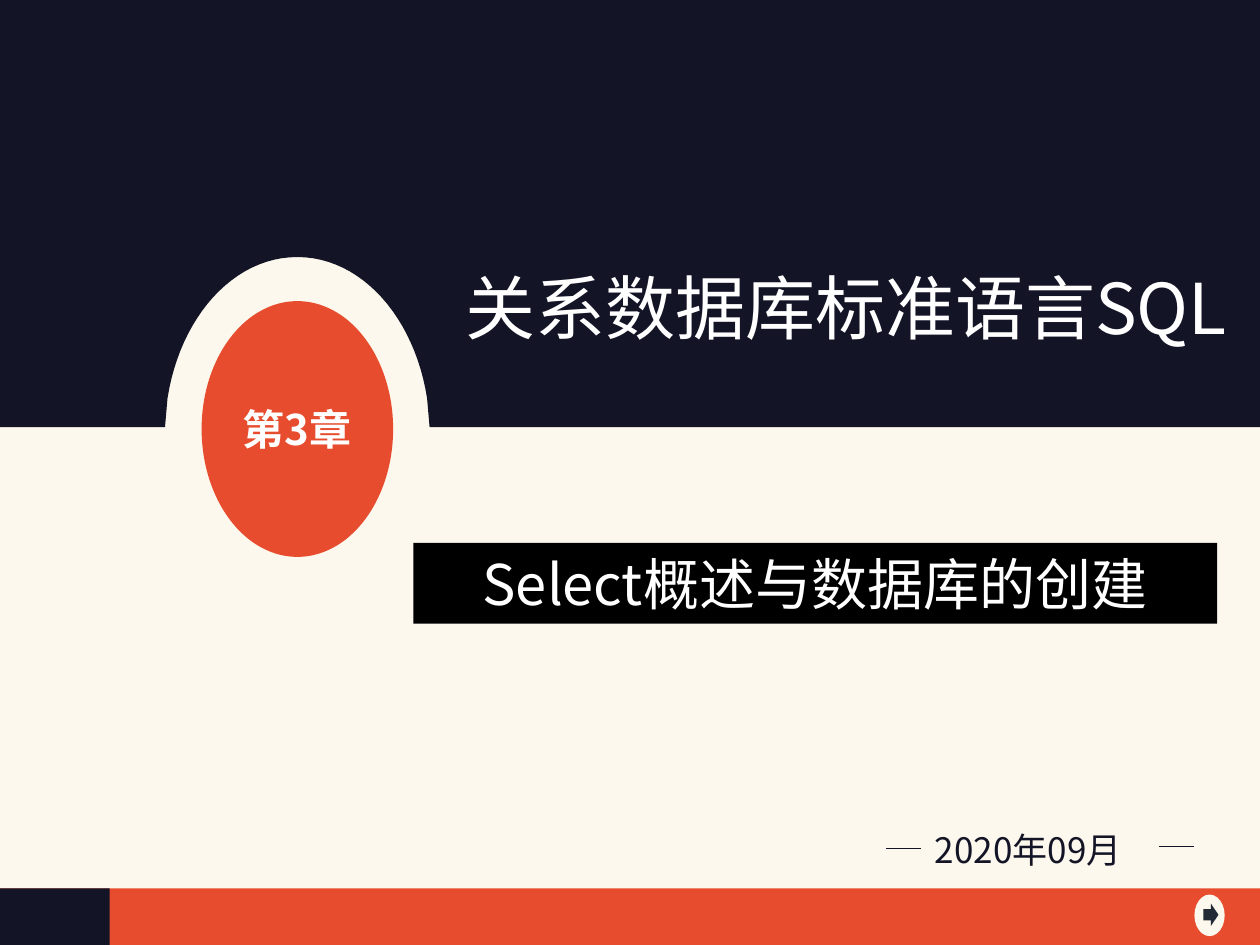
import dataclasses
from typing import Any, Optional

import pptx
import pptx.dml.color
import pptx.enum.shapes
import pptx.enum.text
import pptx.oxml.ns
import pptx.util
from lxml import etree

Inches = pptx.util.Inches
Shape = pptx.enum.shapes.MSO_SHAPE
Align = pptx.enum.text.PP_ALIGN
Anchor = pptx.enum.text.MSO_ANCHOR
qn = pptx.oxml.ns.qn


@dataclasses.dataclass(frozen=True)
class Theme:
    font: str = "Noto Sans CJK SC"
    cream: str = "FCF8ED"
    orange: str = "E74C2E"
    navy: str = "131426"
    slate: str = "222A35"
    black: str = "000000"
    white: str = "FFFFFF"
    title_size: int = 40
    subtitle_size: int = 32
    chapter_size: int = 24
    date_size: int = 20
    rule_width: float = 0.5


@dataclasses.dataclass(frozen=True)
class Block:
    kind: Any
    left: float
    top: float
    width: float
    height: float
    color: str


@dataclasses.dataclass(frozen=True)
class Rule:
    left: float
    top: float
    length: float = 0.28


THEME = Theme()
BACKDROP = [
    Block(Shape.RECTANGLE, 0, 0, 10, 7.5, THEME.cream),
    Block(Shape.RECTANGLE, 0, 7.05, 10, 0.46, THEME.orange),
    Block(Shape.RECTANGLE, 0, 7.05, 0.87, 0.46, THEME.navy),
    Block(Shape.OVAL, 9.48, 7.1, 0.24, 0.33, THEME.cream),
    Block(Shape.RIGHT_ARROW, 9.55, 7.17, 0.12, 0.18, THEME.slate),
]
CHAPTER = Block(Shape.OVAL, 1.6, 2.39, 1.52, 2.03, THEME.orange)
SUBTITLE = Block(Shape.RECTANGLE, 3.28, 4.31, 6.38, 0.64, THEME.black)
DATE_RULES = [Rule(7.03, 6.73), Rule(9.2, 6.72)]
NOTCH_CURVES = [
    [(3.39, 3.16), (3.29, 2.52), (2.87, 2.04), (2.36, 2.04)],
    [(2.36, 2.04), (1.85, 2.04), (1.43, 2.52), (1.33, 3.16)],
]


def rgb(color: str) -> pptx.dml.color.RGBColor:
    return pptx.dml.color.RGBColor.from_string(color)


def paint(shape: Any, color: str) -> None:
    shape.shadow.inherit = False
    shape.fill.solid()
    shape.fill.fore_color.rgb = rgb(color)
    shape.line.fill.background()


def draw_block(page: Any, block: Block) -> Any:
    shape = page.shapes.add_shape(
        block.kind, Inches(block.left), Inches(block.top),
        Inches(block.width), Inches(block.height),
    )
    paint(shape, block.color)
    return shape


def write(box: Any, text: str, *, size: int, color: str, bold: bool = False,
          align: Optional[Any] = None, anchor: Any = Anchor.TOP) -> None:
    frame = box.text_frame
    frame.word_wrap = True
    frame.vertical_anchor = anchor
    para = frame.paragraphs[0]
    para.alignment = align
    span = para.add_run()
    span.text = text
    span.font.size = pptx.util.Pt(size)
    span.font.bold = bold
    span.font.color.rgb = rgb(color)
    span.font.name = THEME.font
    east_asian = etree.SubElement(span.font._element, qn("a:ea"))
    east_asian.set("typeface", THEME.font)


def add_box(page: Any, left: float, top: float, width: float, height: float) -> Any:
    return page.shapes.add_textbox(
        Inches(left), Inches(top), Inches(width), Inches(height)
    )


def curve_points(controls: list, steps: int = 24) -> list:
    a, b, c, d = controls
    points = []
    for step in range(steps + 1):
        t = step / steps
        u = 1 - t
        points.append(tuple(
            u**3 * a[i] + 3 * u * u * t * b[i] + 3 * u * t * t * c[i] + t**3 * d[i]
            for i in (0, 1)
        ))
    return points


def draw_header(page: Any) -> None:
    points = [(10, 0), (10, 3.39), (3.41, 3.39)]
    for controls in NOTCH_CURVES:
        points += curve_points(controls)
    points += [(1.31, 3.39), (0, 3.39)]
    builder = page.shapes.build_freeform(0, 0)
    builder.add_line_segments([(Inches(x), Inches(y)) for x, y in points], close=True)
    paint(builder.convert_to_shape(), THEME.navy)


def draw_rule(page: Any, rule: Rule) -> None:
    line = page.shapes.add_connector(
        pptx.enum.shapes.MSO_CONNECTOR.STRAIGHT,
        Inches(rule.left), Inches(rule.top),
        Inches(rule.left + rule.length), Inches(rule.top),
    )
    line.line.color.rgb = rgb(THEME.navy)
    line.line.width = pptx.util.Pt(THEME.rule_width)
    etree.SubElement(line._element.spPr, qn("a:effectLst"))


def main() -> None:
    deck = pptx.Presentation()
    deck.slide_width, deck.slide_height = Inches(10), Inches(7.5)
    page = deck.slides.add_slide(deck.slide_layouts[6])

    for block in BACKDROP:
        draw_block(page, block)
    draw_header(page)
    write(draw_block(page, CHAPTER), "第3章", size=THEME.chapter_size,
          color=THEME.white, bold=True, align=Align.CENTER, anchor=Anchor.MIDDLE)

    write(add_box(page, 7.32, 6.53, 1.9, 0.77), "2020年09月",
          size=THEME.date_size, color=THEME.navy)
    for rule in DATE_RULES:
        draw_rule(page, rule)

    write(add_box(page, 3.59, 2.05, 6.25, 1.44), "关系数据库标准语言SQL",
          size=THEME.title_size, color=THEME.white, align=Align.CENTER)
    write(draw_block(page, SUBTITLE), "Select概述与数据库的创建",
          size=THEME.subtitle_size, color=THEME.white,
          align=Align.CENTER, anchor=Anchor.MIDDLE)

    deck.save("out.pptx")


if __name__ == "__main__":
    main()
